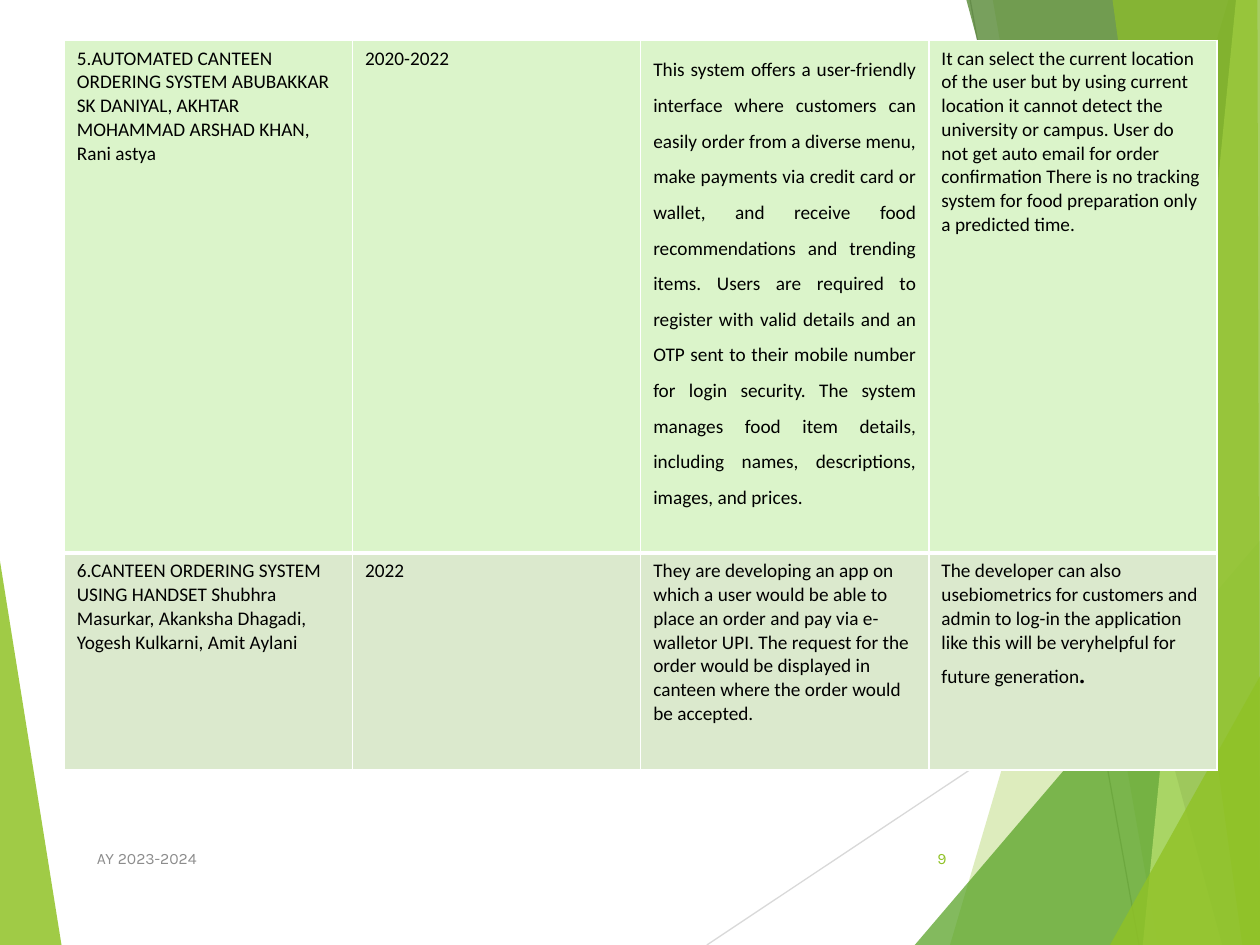
from lxml import etree
from pptx import Presentation
from pptx import util as u
from pptx.dml.color import RGBColor
from pptx.enum import shapes, text
from pptx.oxml import ns

COLORS = {
    "green": "90C226", "leaf": "54A021", "forest": "3F7819", "lime": "C0E474",
    "black": "000000", "white": "FFFFFF", "footer": "8C8C8C",
    "pale_line": "D9D9D9", "line": "BFBFBF",
    "row_light": "DBF4CA", "row_dark": "DBE9CD",
}

LEFT_WEDGE = [(0, 0), (0.5, 3.12), (0, 3.11)]

# Colour, opacity in percent, corners
RIGHT_FACETS = [
    ("green", 30, [(9.75, 0), (7.54, 7.5), (10.01, 7.5), (10.01, 0)]),
    ("green", 20, [(7.88, 0), (9.19, 7.5), (10.01, 7.5), (10.01, 0)]),
    ("leaf", 72, [(7.26, 7.5), (10, 4.29), (10.01, 7.5)]),
    ("forest", 70, [(7.67, 0), (9.7, 7.5), (10.01, 7.5), (10.01, 0)]),
    ("lime", 70, [(9.81, 0), (9.07, 7.5), (10.01, 7.5), (10, 0)]),
    ("green", 65, [(8.83, 0), (9.86, 7.5), (10, 7.5), (9.98, 0)]),
    ("green", 80, [(8.81, 7.5), (10.01, 5.35), (10.01, 7.5)]),
]
RAYS = [("pale_line", (5.61, 7.5), (10.01, 4.57)),
        ("line", (7.7, 0), (9.04, 7.5))]

PAPERS = [
    ["5.AUTOMATED CANTEEN ORDERING SYSTEM ABUBAKKAR SK DANIYAL, AKHTAR "
     "MOHAMMAD ARSHAD KHAN, Rani astya",
     "2020-2022",
     "This system offers a user-friendly interface where customers can easily "
     "order from a diverse menu, make payments via credit card or wallet, and "
     "receive food recommendations and trending items. Users are required to "
     "register with valid details and an OTP sent to their mobile number for "
     "login security. The system manages food item details, including names, "
     "descriptions, images, and prices.",
     "It can select the current location of the user but by using current "
     "location it cannot detect the university or campus. User do not get auto "
     "email for order confirmation There is no tracking system for food "
     "preparation only a predicted time."],
    ["6.CANTEEN ORDERING SYSTEM USING HANDSET Shubhra Masurkar, Akanksha "
     "Dhagadi, Yogesh Kulkarni, Amit Aylani",
     "2022",
     "They are developing an app on which a user would be able to place an "
     "order and pay via e-walletor UPI. The request for the order would be "
     "displayed in canteen where the order would be accepted.",
     "The developer can also usebiometrics for customers and admin to log-in "
     "the application like this will be veryhelpful for future generation"],
]


def rgb(name):
    return RGBColor.from_string(COLORS[name])


def add_run(paragraph, words, size, font, color):
    run = paragraph.add_run()
    run.text = words
    run.font.size = u.Pt(size)
    run.font.name = font
    run.font.color.rgb = rgb(color)


def add_facet(slide, left, top, corners, color, opacity):
    """Translucent polygon whose corners are inches from (left, top)."""
    points = [(u.Inches(left + x), u.Inches(top + y)) for x, y in corners]
    builder = slide.shapes.build_freeform(*points[0])
    builder.add_line_segments(points[1:], close=True)
    facet = builder.convert_to_shape()
    facet.shadow.inherit = False
    facet.line.fill.background()
    facet.fill.solid()
    facet.fill.fore_color.rgb = rgb(color)
    tint = facet._element.spPr.find(".//" + ns.qn("a:srgbClr"))
    etree.SubElement(tint, ns.qn("a:alpha"), val=str(opacity * 1000))


def add_ray(slide, left, top, start, end, color):
    ray = slide.shapes.add_connector(
        shapes.MSO_CONNECTOR.STRAIGHT,
        u.Inches(left + start[0]), u.Inches(top + start[1]),
        u.Inches(left + end[0]), u.Inches(top + end[1]))
    ray.line.color.rgb = rgb(color)
    ray.line.width = u.Pt(0.75)
    etree.SubElement(ray._element.spPr, ns.qn("a:effectLst"))


def add_backdrop(slide, left, top):
    add_facet(slide, left - 0.01, top + 4.39, LEFT_WEDGE, "green", 85)
    for color, start, end in RAYS:
        add_ray(slide, left, top, start, end, color)
    for color, opacity, corners in RIGHT_FACETS:
        add_facet(slide, left, top, corners, color, opacity)


def add_footer_text(slide, left, top, width, height, words, color, align):
    box = slide.shapes.add_textbox(*map(u.Inches, (left, top, width, height)))
    frame = box.text_frame
    frame.word_wrap = True
    frame.vertical_anchor = text.MSO_ANCHOR.MIDDLE
    frame.paragraphs[0].alignment = align
    add_run(frame.paragraphs[0], words, 9, "Karla", color)


def add_footer(slide, left, top, width, height):
    number_width = 0.56
    add_footer_text(slide, left, top, 5.06, height, "AY 2023-2024",
                    "footer", text.PP_ALIGN.LEFT)
    add_footer_text(slide, left + width - number_width, top, number_width,
                    height, "9", "green", text.PP_ALIGN.RIGHT)


def set_borders(cell, widths):
    """White borders, in points, keyed by side letter."""
    properties = cell._tc.get_or_add_tcPr()
    for side, width in widths.items():
        line = etree.SubElement(properties, ns.qn("a:ln" + side),
                                w=str(u.Pt(width)))
        fill = etree.SubElement(line, ns.qn("a:solidFill"))
        etree.SubElement(fill, ns.qn("a:srgbClr"), val=COLORS["white"])


def add_paper_table(slide, left, top, width, row_heights):
    columns = len(PAPERS[0])
    frame = slide.shapes.add_table(
        len(PAPERS), columns, u.Inches(left), u.Inches(top),
        u.Inches(width), u.Inches(sum(row_heights)))
    table = frame.table
    borders = [{"L": 1, "R": 1, "T": 1, "B": 3},
               {"L": 1, "R": 1, "T": 3, "B": 1}]
    fills = ["row_light", "row_dark"]
    for r, paper in enumerate(PAPERS):
        table.rows[r].height = u.Inches(row_heights[r])
        for c, words in enumerate(paper):
            cell = table.cell(r, c)
            set_borders(cell, borders[r])
            cell.fill.solid()
            cell.fill.fore_color.rgb = rgb(fills[r])
            add_run(cell.text_frame.paragraphs[0], words, 11, "Calibri", "black")

    summary = table.cell(0, 2).text_frame.paragraphs[0]
    summary.alignment = text.PP_ALIGN.JUSTIFY
    summary.line_spacing = 1.5
    summary.space_after = u.Pt(8)
    closing = table.cell(1, 3).text_frame.paragraphs[0]
    add_run(closing, ".", 18, "Karla", "black")


def main():
    deck = Presentation()
    deck.slide_width, deck.slide_height = u.Inches(10), u.Inches(7.5)
    slide = deck.slides.add_slide(deck.slide_layouts[6])
    add_backdrop(slide, 0, 0)
    add_footer(slide, 0.67, 6.61, 6.94, 0.4)
    add_paper_table(slide, 0.51, 0.32, 9.15, [4.07, 1.72])
    deck.save("out.pptx")


if __name__ == "__main__":
    main()
